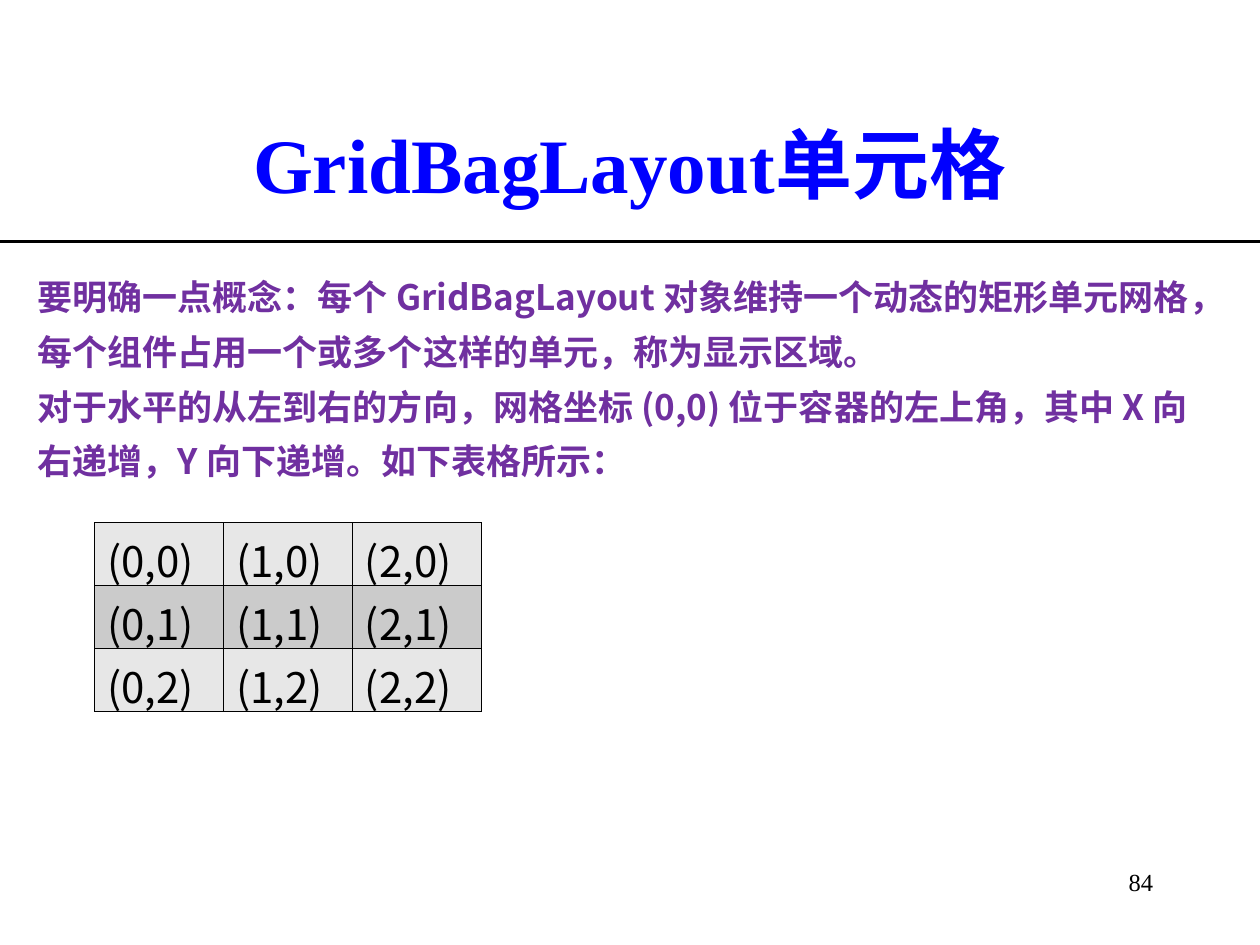
"""Build the slide about GridBagLayout cells."""
from lxml.etree import SubElement
from pptx import Presentation
from pptx.dml.color import RGBColor
from pptx.enum.shapes import MSO_CONNECTOR
from pptx.enum.text import MSO_ANCHOR, PP_ALIGN
from pptx.oxml.ns import qn
from pptx.util import Pt

COLORS = {"title": "0000FF", "body": "7030A0", "ink": "000000",
          "light_row": "E7E7E7", "dark_row": "CBCBCB"}
SANS, SERIF = "Noto Sans CJK SC", "Times New Roman"

TITLE = "GridBagLayout单元格"
BODY = [
    "要明确一点概念：每个 GridBagLayout 对象维持一个动态的矩形单元网格，每个组件占用一个或多个这样的单元，称为显示区域。",
    "对于水平的从左到右的方向，网格坐标 (0,0) 位于容器的左上角，其中 X 向右递增，Y 向下递增。如下表格所示：",
]
PAGE_NUMBER = "84"
GRID_SIZE = 3
CELL_WIDTH, CELL_HEIGHT = 73.7, 36
BORDER_WIDTH = 0.45


def color(name):
    return RGBColor.from_string(COLORS[name])


def style(frame, size, font, color_name, bold=False):
    for paragraph in frame.paragraphs:
        for span in paragraph.runs:
            span.font.size = Pt(size)
            span.font.name = font
            span.font.bold = bold
            span.font.color.rgb = color(color_name)
            SubElement(span.font._element, qn("a:ea"), typeface=SANS)


def add_text(page, bounds, lines, align, anchor=MSO_ANCHOR.TOP, inset=(7.2, 3.6), spacing=None):
    frame = page.shapes.add_textbox(*map(Pt, bounds)).text_frame
    frame.word_wrap = True
    frame.vertical_anchor = anchor
    frame.margin_left = frame.margin_right = Pt(inset[0])
    frame.margin_top = frame.margin_bottom = Pt(inset[1])
    frame.text = "\n".join(lines)
    for paragraph in frame.paragraphs:
        paragraph.alignment = align
        paragraph.line_spacing = spacing
    return frame


def add_rule(page, y, width):
    rule = page.shapes.add_connector(MSO_CONNECTOR.STRAIGHT, 0, Pt(y), Pt(width), Pt(y))
    rule.line.color.rgb = color("ink")
    rule.line.width = Pt(2.25)
    SubElement(rule._element.spPr, qn("a:effectLst"))


def add_borders(cell):
    properties = cell._tc.get_or_add_tcPr()
    for position, side in enumerate(("lnL", "lnR", "lnT", "lnB")):
        line = SubElement(properties, qn(f"a:{side}"), w=str(int(Pt(BORDER_WIDTH))))
        fill = SubElement(line, qn("a:solidFill"))
        SubElement(fill, qn("a:srgbClr"), val=COLORS["ink"])
        properties.insert(position, line)


def add_coordinate_table(page, left, top):
    table = page.shapes.add_table(GRID_SIZE, GRID_SIZE, Pt(left), Pt(top),
                                  Pt(GRID_SIZE * CELL_WIDTH),
                                  Pt(GRID_SIZE * CELL_HEIGHT)).table
    for column in table.columns:
        column.width = Pt(CELL_WIDTH)
    for y, row in enumerate(table.rows):
        row.height = Pt(CELL_HEIGHT)
        for x, cell in enumerate(row.cells):
            cell.text_frame.text = f"({x},{y})"
            style(cell.text_frame, 24, SANS, "ink")
            cell.fill.solid()
            cell.fill.fore_color.rgb = color("dark_row" if y % 2 else "light_row")
            add_borders(cell)


def main():
    deck = Presentation()
    deck.slide_width, deck.slide_height = Pt(720), Pt(540)
    page = deck.slides.add_slide(deck.slide_layouts[6])

    title = add_text(page, (54, 48, 612, 90), [TITLE], PP_ALIGN.CENTER, MSO_ANCHOR.MIDDLE)
    style(title, 44, SERIF, "title", True)
    add_rule(page, 138, 720)
    number = add_text(page, (588, 492, 78, 36), [PAGE_NUMBER], PP_ALIGN.RIGHT)
    style(number, 14, SERIF, "ink")
    body = add_text(page, (12, 145.5, 696, 175.5), BODY, PP_ALIGN.LEFT,
                    inset=(9.4, 5), spacing=1.3)
    style(body, 20, SANS, "body", True)
    add_coordinate_table(page, 54, 298.5)
    deck.save("out.pptx")


if __name__ == "__main__":
    main()
